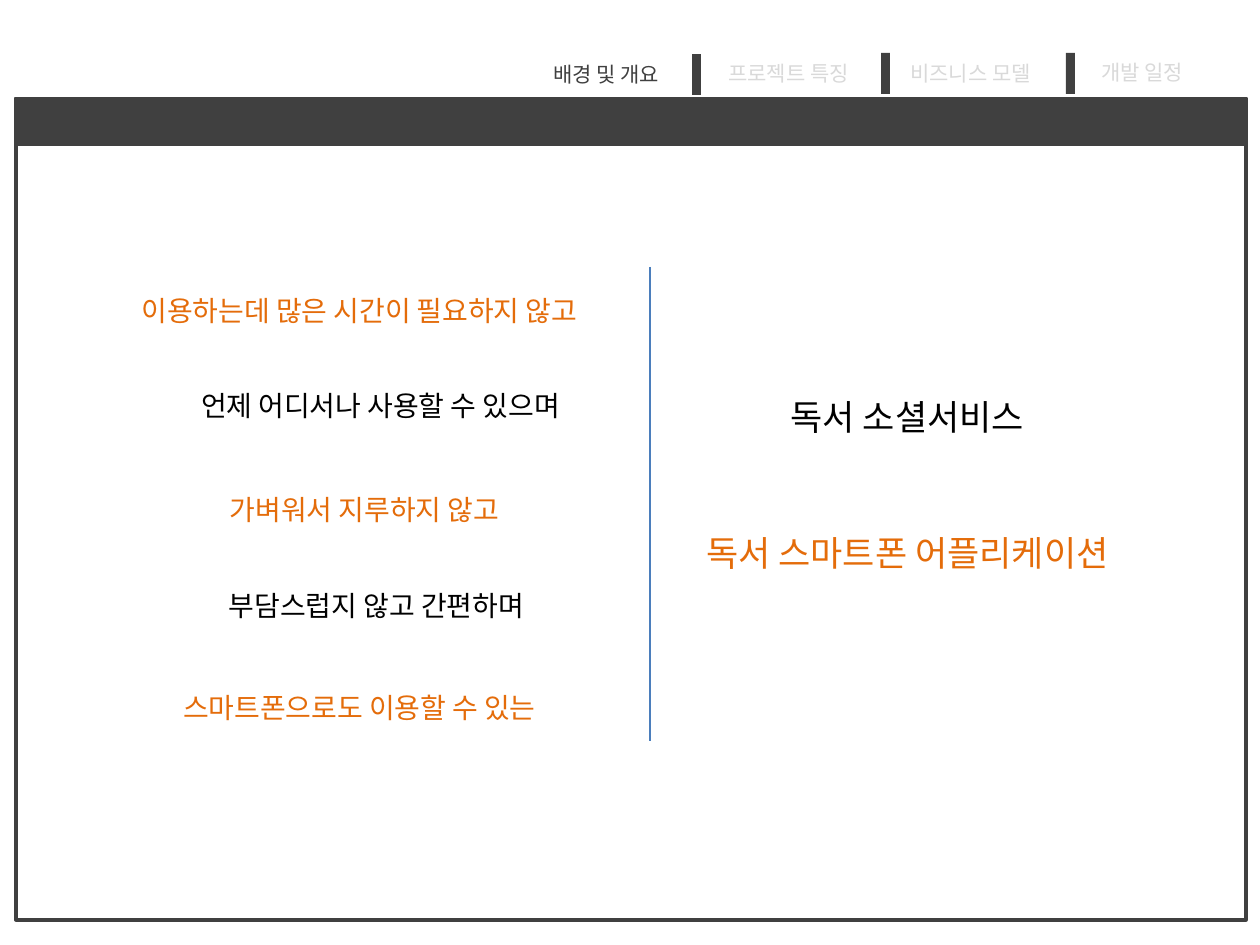
from lxml import etree
from pptx import Presentation
from pptx.dml.color import RGBColor
from pptx.enum.shapes import MSO_CONNECTOR, MSO_SHAPE
from pptx.enum.text import MSO_AUTO_SIZE, PP_ALIGN
from pptx.oxml.ns import qn
from pptx.util import Emu, Pt

RECTANGLE = MSO_SHAPE.RECTANGLE
STRAIGHT = MSO_CONNECTOR.STRAIGHT
CENTER, LEFT = PP_ALIGN.CENTER, PP_ALIGN.LEFT
GROW = MSO_AUTO_SIZE.SHAPE_TO_FIT_TEXT

THEME = {
    "font": "Noto Sans CJK KR",
    "dark": "404040", "muted": "D9D9D9", "white": "FFFFFF",
    "black": "000000", "accent": "E46C0A", "divider": "4B7EBC",
    "tab_size": 12, "statement_size": 16, "service_size": 20,
}

TABS = [
    ("배경 및 개요", 541, 55, 141, "dark"),
    ("프로젝트 특징", 716, 54, 154, "muted"),
    ("비즈니스 모델", 898, 54, 154, "muted"),
    ("개발 일정", 1089, 53, 113, "muted"),
]
TAB_HEIGHT = 38
TAB_BARS = [(692, 54), (881, 53), (1066, 53)]
BAR_SIZE = (9, 41)

STATEMENTS = [
    ("이용하는데 많은 시간이 필요하지 않고", -224, 267, 62),
    ("언제 어디서나 사용할 수 있으며", -203, 362, 67),
    ("가벼워서 지루하지 않고", -219, 466, 67),
    ("부담스럽지 않고 간편하며", -207, 562, 62),
    ("스마트폰으로도 이용할 수 있는", -224, 664, 62),
]
SERVICES = [
    ("독서 소셜서비스", 324, 364, 74, "black"),
    ("독서 스마트폰 어플리케이션", 324, 500, 74, "accent"),
]
TEXT_WIDTH = 1167
LINE_SPACING = 1.6

FRAME = (16, 102, 1230, 818)
HEADER = (15, 98, 1232, 47)
DIVIDER = (650, 267, 650, 741)
EMU_PER_PX = 914400 / 126


def px(value):
    return Emu(round(value * EMU_PER_PX))


def color(name):
    return RGBColor.from_string(THEME[name])


def add_rectangle(page, bounds, fill, line_width=0):
    shape = page.shapes.add_shape(RECTANGLE, *map(px, bounds))
    shape.shadow.inherit = False
    shape.fill.solid()
    shape.fill.fore_color.rgb = color(fill)
    if line_width:
        shape.line.color.rgb = color("dark")
        shape.line.width = Pt(line_width)
    else:
        shape.line.fill.background()


def add_text(page, text, bounds, size, ink, wrap=True):
    box = page.shapes.add_textbox(*map(px, bounds))
    frame = box.text_frame
    frame.text = text
    frame.word_wrap = wrap
    frame.auto_size = GROW
    para = frame.paragraphs[0]
    para.alignment = CENTER if wrap else LEFT
    if wrap:
        para.line_spacing = LINE_SPACING
    span = para.runs[0]
    span.font.name = THEME["font"]
    span.font.size = Pt(THEME[size])
    span.font.color.rgb = color(ink)
    east_asian = etree.SubElement(span.font._element, qn("a:ea"))
    east_asian.set("typeface", THEME["font"])


def add_divider(page):
    line = page.shapes.add_connector(STRAIGHT, *map(px, DIVIDER))
    line.line.color.rgb = color("divider")
    line.line.width = Pt(1)
    etree.SubElement(line._element.spPr, qn("a:effectLst"))


def main():
    deck = Presentation()
    deck.slide_width, deck.slide_height = px(1260), px(945)
    page = deck.slides.add_slide(deck.slide_layouts[6])

    add_rectangle(page, FRAME, "white", 2)
    add_rectangle(page, HEADER, "dark", 1)
    for text, left, top, width, ink in TABS:
        add_text(page, text, (left, top, width, TAB_HEIGHT), "tab_size", ink, wrap=False)
    for position in TAB_BARS:
        add_rectangle(page, position + BAR_SIZE, "dark")

    for index, (text, left, top, height) in enumerate(STATEMENTS):
        ink = "black" if index % 2 else "accent"
        add_text(page, text, (left, top, TEXT_WIDTH, height), "statement_size", ink)
    for text, left, top, height, ink in SERVICES:
        add_text(page, text, (left, top, TEXT_WIDTH, height), "service_size", ink)
    add_divider(page)

    deck.save("out.pptx")


if __name__ == "__main__":
    main()
